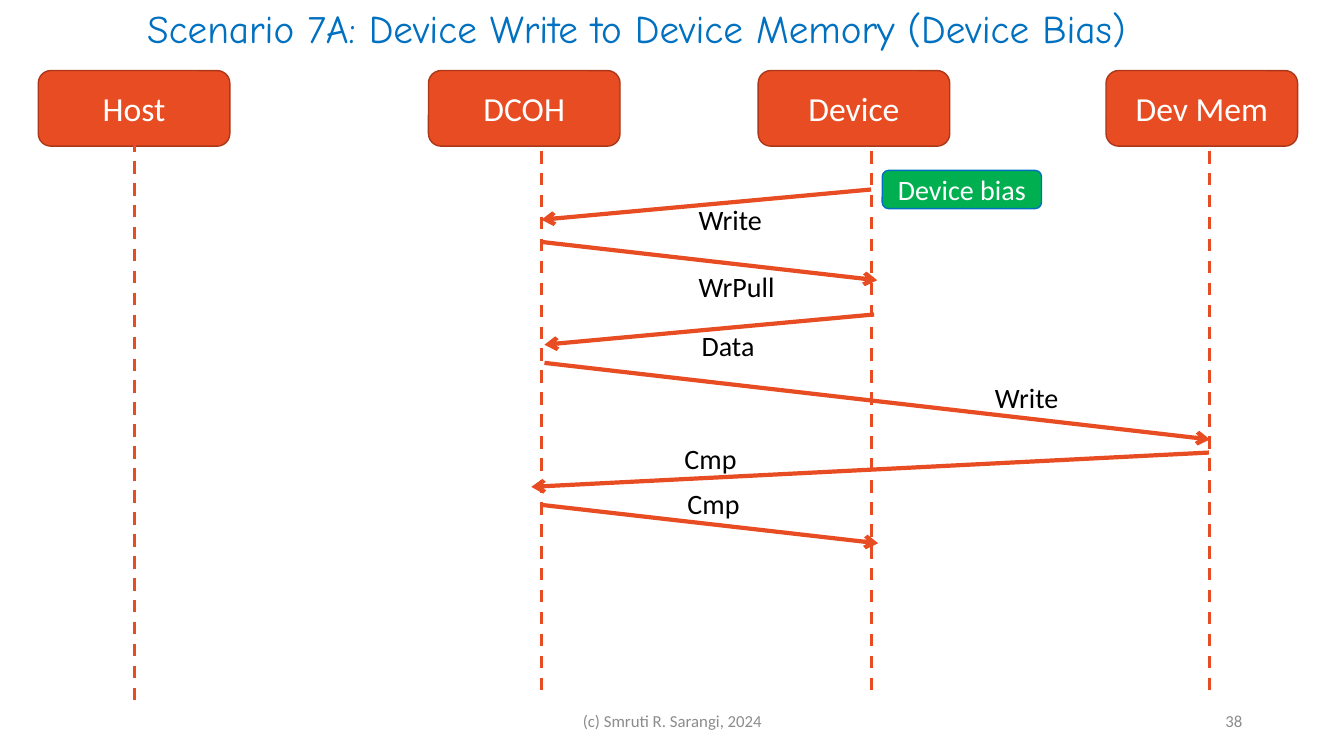
import pptx
import pptx.util
import pptx.dml.color
import pptx.enum.dml
import pptx.enum.shapes
import pptx.enum.text
import pptx.oxml
import pptx.oxml.ns

PX = 9144  # one px is a hundredth of an inch
COLORS = {
    "actor": "E84C22",
    "actor_edge": "AC3819",
    "bias": "00B050",
    "title": "0070C0",
    "white": "FFFFFF",
    "label": "000000",
    "footer": "8C8C8C",
}
ALIGN = pptx.enum.text.PP_ALIGN
ANCHOR = pptx.enum.text.MSO_ANCHOR

# name, left edge of the box, x of the lifeline, y where the lifeline starts
ACTORS = [
    ("Host", 38, 133, 138),
    ("DCOH", 425, 537, 128),
    ("Device", 752, 864, 128),
    ("Dev Mem", 1097, 1200, 128),
]
LIFELINE_LENGTH = 557

# label, label position, arrow start, arrow end
MESSAGES = [
    ("Write", (683, 196), (864, 188), (537, 218)),
    ("WrPull", (683, 262), (537, 240), (870, 278)),
    ("Data", (686, 321), (867, 312), (540, 342)),
    ("Write", (977, 373), (540, 360), (1200, 436)),
    ("Cmp", (669, 433), (1199, 449), (527, 483)),
    ("Cmp", (672, 478), (538, 501), (871, 539)),
]


def rgb(name):
    return pptx.dml.color.RGBColor.from_string(COLORS[name])


def px(*lengths):
    return [n * PX for n in lengths]


def set_text(sp, text, size, color, align=ALIGN.LEFT, anchor=ANCHOR.TOP,
             wrap=True, font="Calibri"):
    tf = sp.text_frame
    tf.text = text
    tf.word_wrap = wrap
    tf.auto_size = pptx.enum.text.MSO_AUTO_SIZE.NONE
    tf.vertical_anchor = anchor
    p = tf.paragraphs[0]
    p.alignment = align
    r = p.runs[0]
    r.font.name = font
    r.font.size = pptx.util.Pt(size)
    r.font.color.rgb = rgb(color)


def add_line(s, start, end, width):
    line = s.shapes.add_connector(
        pptx.enum.shapes.MSO_CONNECTOR.STRAIGHT, *px(*start, *end))
    line.line.color.rgb = rgb("actor")
    line.line.width = pptx.util.Pt(width)
    line._element.spPr.append(pptx.oxml.parse_xml(
        "<a:effectLst %s/>" % pptx.oxml.ns.nsdecls("a")))
    return line


def add_box(s, box, text, size, fill, edge):
    sp = s.shapes.add_shape(
        pptx.enum.shapes.MSO_SHAPE.ROUNDED_RECTANGLE, *px(*box))
    sp.shadow.inherit = False
    sp.fill.solid()
    sp.fill.fore_color.rgb = rgb(fill)
    sp.line.color.rgb = rgb(edge)
    sp.line.width = pptx.util.Pt(1)
    set_text(sp, text, size, "white", ALIGN.CENTER, ANCHOR.MIDDLE)


def add_title(s, box, text):
    sp = s.shapes.title
    sp.left, sp.top, sp.width, sp.height = px(*box)
    set_text(sp, text, 28, "title", wrap=False, font="Comic Neue")


def add_actor(s, box, name, line_x, line_top):
    add_box(s, box, name, 24, "actor", "actor_edge")
    lifeline = add_line(s, (line_x, line_top),
                        (line_x, line_top + LIFELINE_LENGTH), 2.25)
    lifeline.line.dash_style = pptx.enum.dml.MSO_LINE.DASH


def add_message(s, box, text, start, end):
    arrow = add_line(s, start, end, 3)
    arrow.line._get_or_add_ln().append(pptx.oxml.parse_xml(
        '<a:tailEnd type="arrow" %s/>' % pptx.oxml.ns.nsdecls("a")))
    label = s.shapes.add_textbox(*px(*box))
    set_text(label, text, 20, "label", wrap=False)


def add_footer(s, box, text, align):
    sp = s.shapes.add_textbox(*px(*box))
    set_text(sp, text, 12, "footer", align, ANCHOR.MIDDLE)


def main():
    prs = pptx.Presentation()
    prs.slide_width, prs.slide_height = px(1333, 750)
    s = prs.slides.add_slide(prs.slide_layouts.get_by_name("Title Only"))

    # Title
    add_title(s, (136, -1, 1105, 57),
              "Scenario 7A: Device Write to Device Memory (Device Bias)")

    # Actors with their lifelines
    for name, left, line_x, line_top in ACTORS:
        add_actor(s, (left, 70, 190, 75), name, line_x, line_top)

    # Bias note beside the device lifeline
    add_box(s, (875, 169, 158, 38), "Device bias", 20, "bias", "title")

    # Messages in time order
    for text, (x, y), start, end in MESSAGES:
        add_message(s, (x, y, 90, 44), text, start, end)

    # Footer and slide number
    add_footer(s, (442, 695, 450, 40), "(c) Smruti R. Sarangi, 2024",
               ALIGN.CENTER)
    add_footer(s, (942, 695, 300, 40), "38", ALIGN.RIGHT)

    prs.save("out.pptx")


if __name__ == "__main__":
    main()
